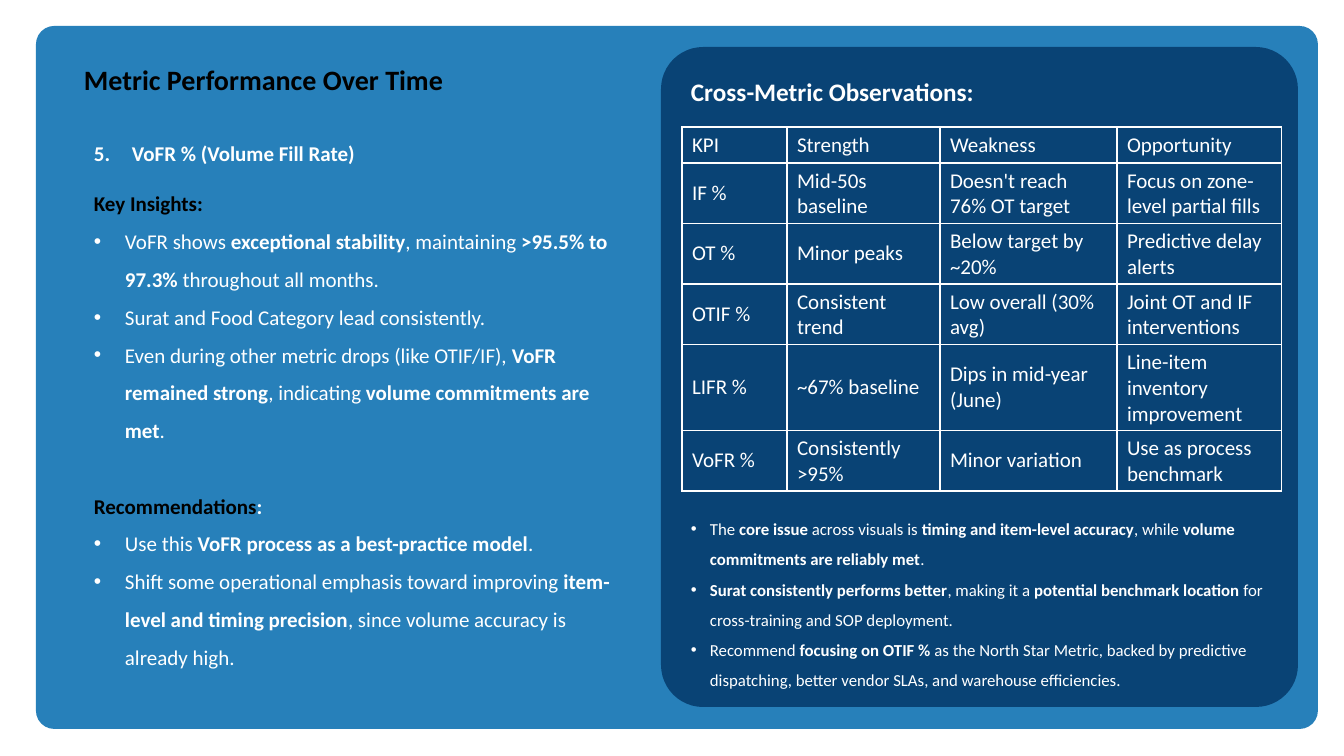
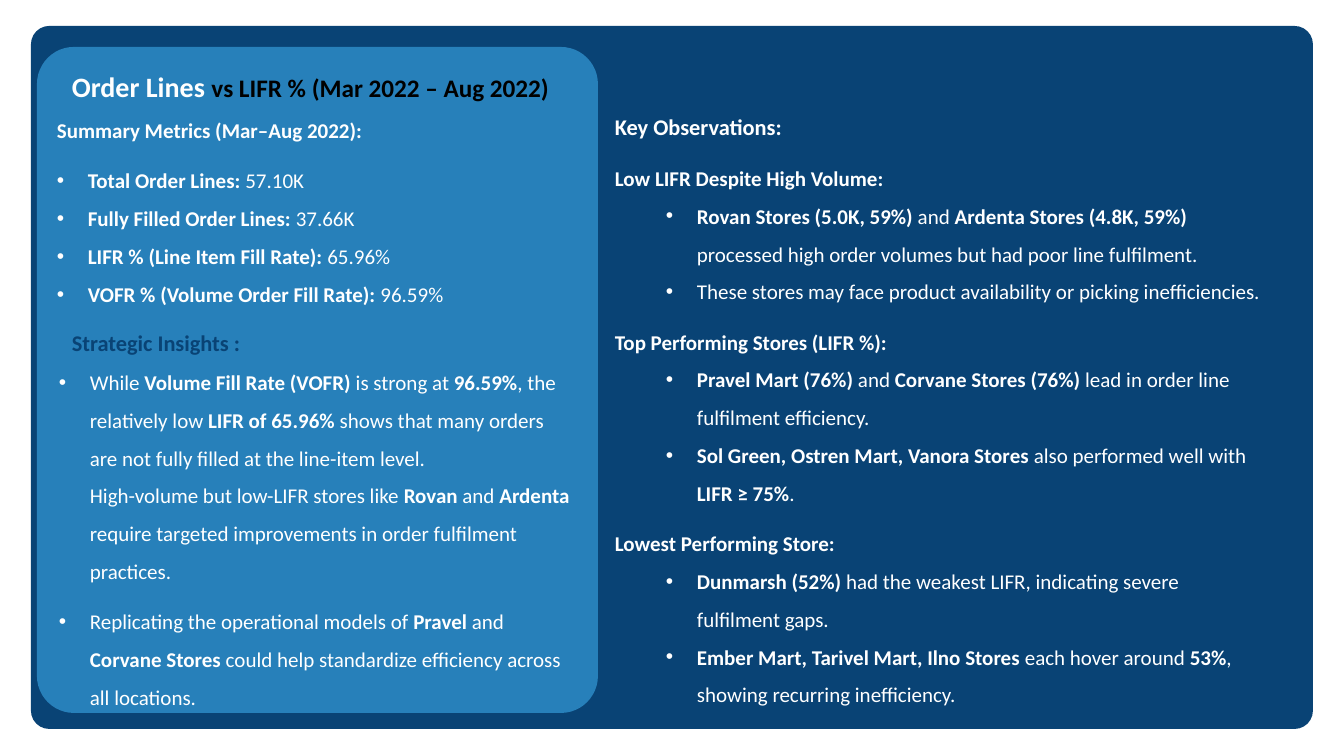
import pptx
import pptx.dml.color
import pptx.enum.shapes
import pptx.enum.text
import pptx.oxml
import pptx.oxml.ns
import pptx.util

COLORS = {"blue": "2780BA", "navy": "094375", "white": "FFFFFF", "black": "000000"}
FONT = "Calibri"
SCALE = 914400 / 100.8
SMALL_GAP = 9
LARGE_GAP = 27
BULLET = {"bullet": "•", "indent": 31, "hang": 31}
DEEP_BULLET = {"bullet": "•", "indent": 82, "hang": 31}
FINE_BULLET = {"bullet": "•", "indent": 19, "hang": 19, "size": 12}

KPI_COLUMNS = [105, 153, 177, 165]
KPI_HEIGHTS = [36, 60, 60, 60, 86, 60]
KPI_ROWS = [
    ["KPI", "Strength", "Weakness", "Opportunity"],
    ["IF %", "Mid-50s baseline", "Doesn't reach 76% OT target", "Focus on zone-level partial fills"],
    ["OT %", "Minor peaks", "Below target by ~20%", "Predictive delay alerts"],
    ["OTIF %", "Consistent trend", "Low overall (30% avg)", "Joint OT and IF interventions"],
    ["LIFR %", "~67% baseline", "Dips in mid-year (June)", "Line-item inventory improvement"],
    ["VoFR %", "Consistently >95%", "Minor variation", "Use as process benchmark"],
]
CROSS_METRIC_NOTES = [
    "The **core issue** across visuals is **timing and item-level accuracy**, "
    "while **volume commitments are reliably met**.",
    "**Surat consistently performs better**, making it a **potential benchmark location** "
    "for cross-training and SOP deployment.",
    "Recommend **focusing on OTIF %** as the North Star Metric, backed by predictive "
    "dispatching, better vendor SLAs, and warehouse efficiencies.",
]
KEY_INSIGHTS = [
    "VoFR shows **exceptional stability**, maintaining **>95.5% to 97.3%** throughout all months.",
    "Surat and Food Category lead consistently.",
    "Even during other metric drops (like OTIF/IF), **VoFR remained strong**, "
    "indicating **volume commitments are met**.",
]
RECOMMENDATIONS = [
    "Use this **VoFR process as a best-practice model**.",
    "Shift some operational emphasis toward improving **item-level and timing precision**, "
    "since volume accuracy is already high.",
]
SUMMARY_METRICS = [
    "**Total Order Lines:** 57.10K",
    "**Fully Filled Order Lines:** 37.66K",
    "**LIFR % (Line Item Fill Rate):** 65.96%",
    "**VOFR % (Volume Order Fill Rate):** 96.59%",
]
STRATEGIC_INSIGHTS = [
    "While **Volume Fill Rate (VOFR)** is strong at **96.59%**, the relatively low "
    "**LIFR of 65.96%** shows that many orders are not fully filled at the line-item level.\n"
    "High-volume but low-LIFR stores like **Rovan** and **Ardenta** require targeted "
    "improvements in order fulfilment practices.",
    "Replicating the operational models of **Pravel** and **Corvane Stores** could help "
    "standardize efficiency across all locations.",
]
OBSERVATIONS = {
    "Low LIFR Despite High Volume:": [
        "**Rovan Stores (5.0K, 59%)** and **Ardenta Stores (4.8K, 59%)** processed "
        "high order volumes but had poor line fulfilment.",
        "These stores may face product availability or picking inefficiencies.",
    ],
    "Top Performing Stores (LIFR %):": [
        "**Pravel Mart (76%)** and **Corvane Stores (76%)** lead in order line fulfilment efficiency.",
        "**Sol Green, Ostren Mart, Vanora Stores** also performed well with **LIFR ≥ 75%**.",
    ],
    "Lowest Performing Store:": [
        "**Dunmarsh (52%)** had the weakest LIFR, indicating severe fulfilment gaps.",
        "**Ember Mart, Tarivel Mart, Ilno Stores** each hover around **53%**, "
        "showing recurring inefficiency.",
    ],
}


def px(length):
    return pptx.util.Emu(round(length * SCALE))


def rgb(name):
    return pptx.dml.color.RGBColor.from_string(COLORS[name])


def add_xml(parent, tag, **attributes):
    element = pptx.oxml.parse_xml(f"<a:{tag} {pptx.oxml.ns.nsdecls('a')}/>")
    for name, value in attributes.items():
        element.set(name, str(value))
    parent.append(element)
    return element


def write_text(frame, text, size=15, color="white", bold=False, before=0, line=1.5,
               bullet=None, start=None, indent=0, hang=0, same_paragraph=False):
    paragraph = frame.paragraphs[-1]
    if not same_paragraph:
        if paragraph.runs:
            paragraph = frame.add_paragraph()
        properties = paragraph._p.get_or_add_pPr()
        properties.set("marL", str(px(indent)))
        properties.set("indent", str(px(-hang)))
        if start:
            add_xml(properties, "buAutoNum", type="arabicPeriod", startAt=start)
        elif bullet:
            add_xml(properties, "buFont", typeface="Arial")
            add_xml(properties, "buChar", char=bullet)
        paragraph.line_spacing = line
        paragraph.space_before = pptx.util.Pt(before)
    for number, part in enumerate(text.split("**")):
        for line_number, piece in enumerate(part.split("\n")):
            if line_number:
                paragraph.add_line_break()
            if piece:
                run = paragraph.add_run()
                run.text = piece
                run.font.name = FONT
                run.font.size = pptx.util.Pt(size)
                run.font.bold = bold or number % 2 == 1
                run.font.color.rgb = rgb(color)


def write_list(frame, items, gap=0, between=0, **style):
    for number, item in enumerate(items):
        write_text(frame, item, before=between if number else gap, **style)


def add_frame(slide, box, left, top, width, height, middle=False):
    shape = slide.shapes.add_textbox(px(box[0] + left), px(box[1] + top), px(width), px(height))
    frame = shape.text_frame
    frame.word_wrap = True
    anchor = pptx.enum.text.MSO_ANCHOR
    frame.vertical_anchor = anchor.MIDDLE if middle else anchor.TOP
    return frame


def add_card(slide, box, color, rounding):
    shape = slide.shapes.add_shape(
        pptx.enum.shapes.MSO_SHAPE.ROUNDED_RECTANGLE, *[px(length) for length in box])
    shape.adjustments[0] = rounding
    shape.shadow.inherit = False
    shape.fill.solid()
    shape.fill.fore_color.rgb = rgb(color)
    shape.line.fill.background()


def add_borders(cell):
    properties = cell._tc.get_or_add_tcPr()
    for side in ("lnL", "lnR", "lnT", "lnB"):
        border = add_xml(properties, side, w=pptx.util.Pt(1))
        fill = add_xml(border, "solidFill")
        add_xml(fill, "srgbClr", val=COLORS["white"])


def add_kpi_table(slide, box, left, top):
    table = slide.shapes.add_table(
        len(KPI_ROWS), len(KPI_COLUMNS), px(box[0] + left), px(box[1] + top),
        px(sum(KPI_COLUMNS)), px(sum(KPI_HEIGHTS))).table
    table.first_row = False
    table.horz_banding = False
    for column, width in zip(table.columns, KPI_COLUMNS):
        column.width = px(width)
    for row, height, texts in zip(table.rows, KPI_HEIGHTS, KPI_ROWS):
        row.height = px(height)
        for cell, text in zip(row.cells, texts):
            add_borders(cell)
            cell.fill.background()
            cell.vertical_anchor = pptx.enum.text.MSO_ANCHOR.MIDDLE
            write_text(cell.text_frame, text, line=1.0)


def add_fill_rate_region(slide, box):
    title = add_frame(slide, box, 38, 32, 450, 52)
    write_text(title, "Metric Performance Over Time", size=20, color="black", bold=True, line=1.0)
    body = add_frame(slide, box, 48, 97, 553, 553)
    write_text(body, "VoFR % (Volume Fill Rate)", bold=True, start=5, indent=38, hang=38)
    write_text(body, "Key Insights:", color="black", bold=True, before=SMALL_GAP)
    write_list(body, KEY_INSIGHTS, **BULLET)
    write_text(body, "Recommendations", color="black", bold=True, before=LARGE_GAP)
    write_text(body, ":", bold=True, same_paragraph=True)
    write_list(body, RECOMMENDATIONS, **BULLET)


def add_cross_metric_panel(slide, box):
    add_card(slide, box, "navy", 0.066)
    heading = add_frame(slide, box, 20, 24, 600, 40)
    write_text(heading, "Cross-Metric Observations:", size=18, bold=True, line=1.0)
    add_kpi_table(slide, box, 21, 80)
    notes = add_frame(slide, box, 20, 457, 602, 191, middle=True)
    write_list(notes, CROSS_METRIC_NOTES, **FINE_BULLET)


def add_order_lines_panel(slide, box):
    add_card(slide, box, "blue", 0.066)
    title = add_frame(slide, box, 25, 18, 506, 44)
    write_text(title, "Order Lines ", size=20, bold=True, line=1.0)
    write_text(title, "vs LIFR % (Mar 2022 – Aug 2022)", size=18, color="black",
               bold=True, same_paragraph=True)
    summary = add_frame(slide, box, 10, 53, 470, 210)
    write_text(summary, "Summary Metrics (Mar–Aug 2022):", bold=True)
    write_list(summary, SUMMARY_METRICS, gap=SMALL_GAP, **BULLET)
    insights = add_frame(slide, box, 12, 305, 536, 363)
    write_list(insights, STRATEGIC_INSIGHTS, between=SMALL_GAP, **BULLET)
    heading = add_frame(slide, box, 25, 277, 495, 37)
    write_text(heading, "Strategic Insights :", size=16, color="navy", bold=True, line=1.0)


def add_observations_region(slide, box):
    frame = add_frame(slide, box, 574, 69, 672, 620)
    write_text(frame, "Key Observations:", size=16, bold=True)
    for heading, items in OBSERVATIONS.items():
        write_text(frame, heading, bold=True, before=SMALL_GAP)
        write_list(frame, items, **DEEP_BULLET)


def add_slide(presentation, card_box, card_color, panel_box, add_region, add_panel):
    slide = presentation.slides.add_slide(presentation.slide_layouts[6])
    add_card(slide, card_box, card_color, 0.026)
    add_panel(slide, panel_box)
    add_region(slide, card_box)


def main():
    presentation = pptx.Presentation()
    presentation.slide_width = px(1344)
    presentation.slide_height = px(756)
    add_slide(presentation, (36, 26, 1282, 703), "blue", (661, 47, 637, 660),
              add_fill_rate_region, add_cross_metric_panel)
    add_slide(presentation, (31, 26, 1282, 703), "navy", (37, 47, 561, 666),
              add_observations_region, add_order_lines_panel)
    presentation.save("out.pptx")


if __name__ == "__main__":
    main()
